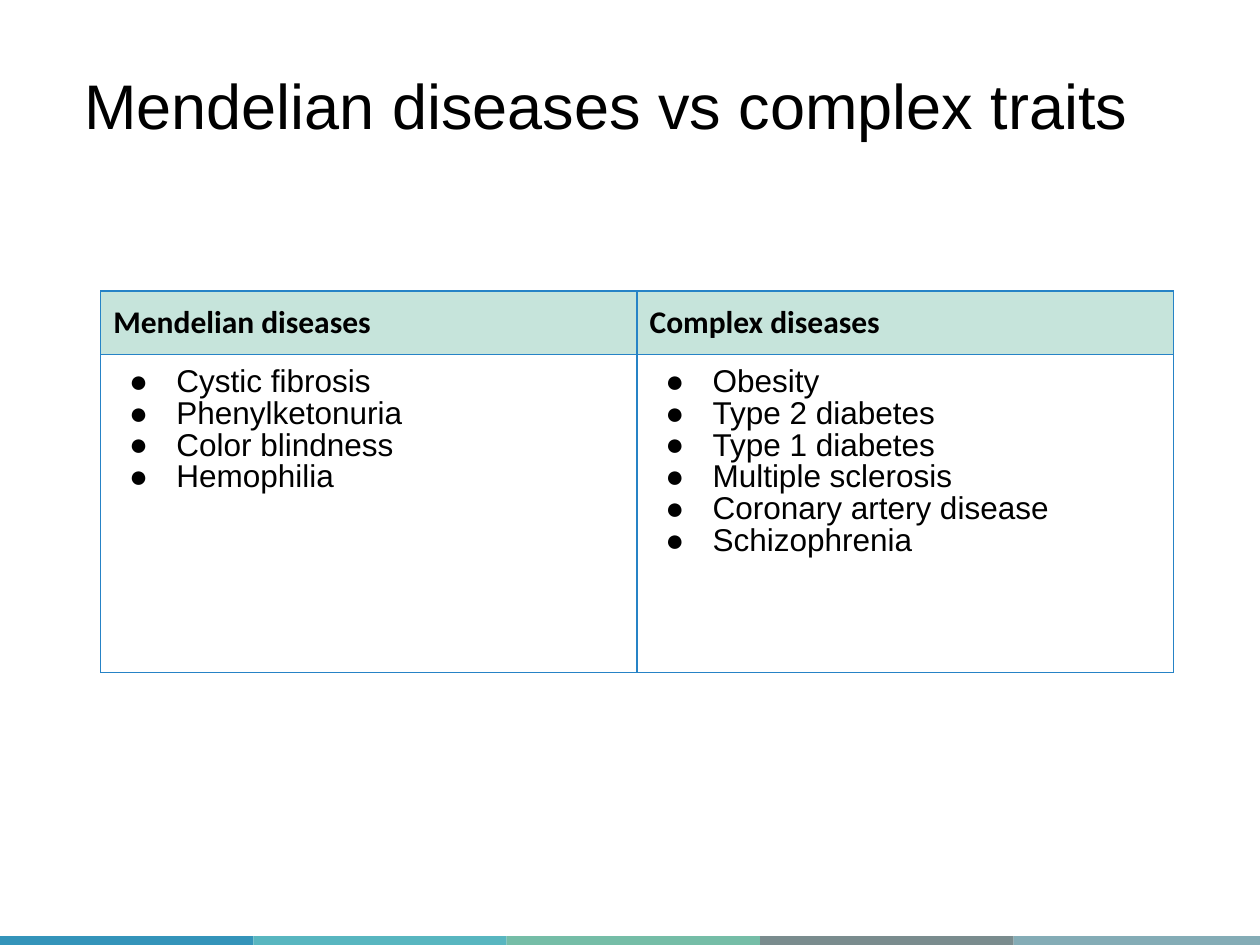
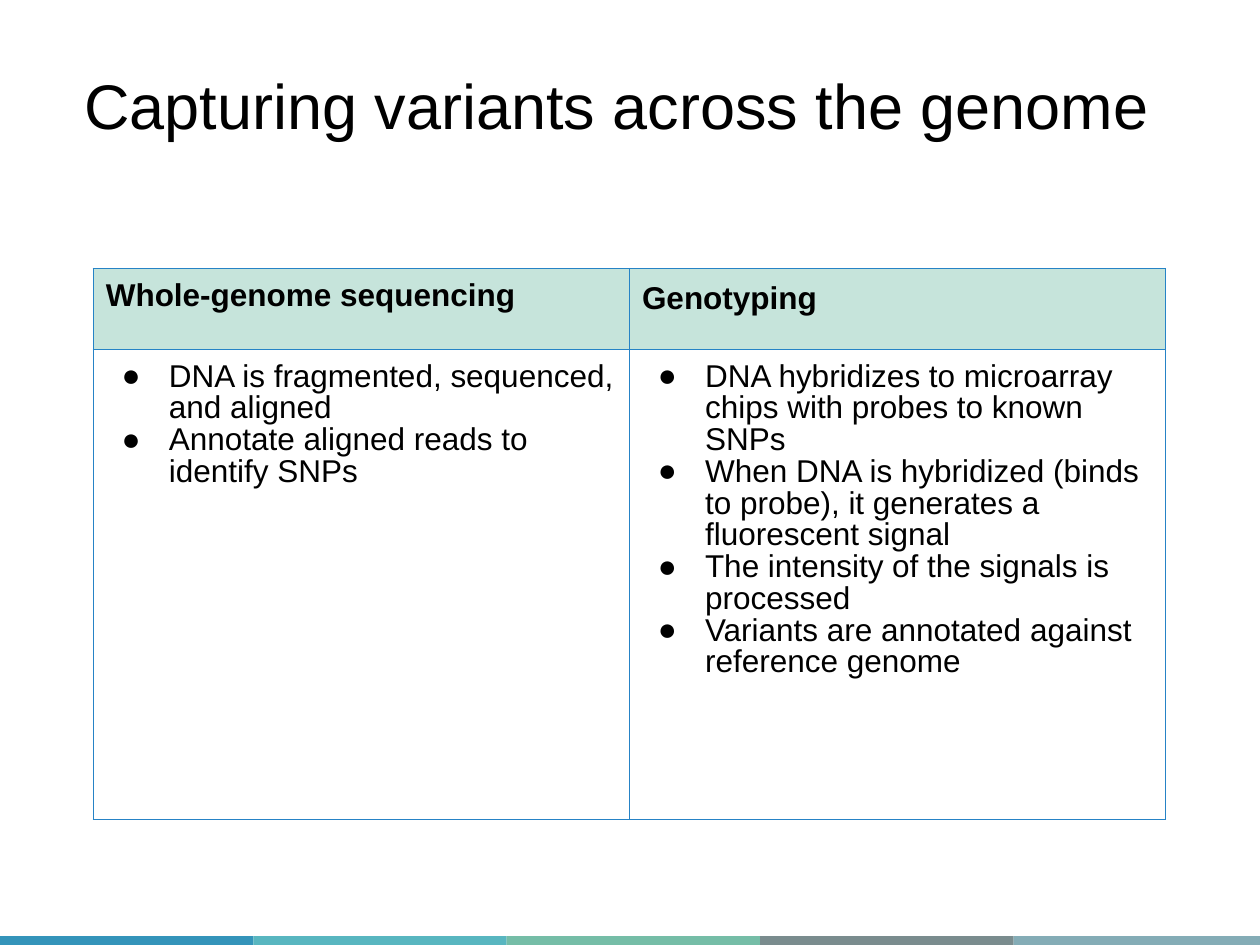
from dataclasses import dataclass

from lxml.etree import SubElement
from pptx import Presentation
from pptx.dml.color import RGBColor
from pptx.enum.shapes import MSO_SHAPE
from pptx.enum.text import MSO_ANCHOR, MSO_AUTO_SIZE, PP_ALIGN
from pptx.oxml.ns import qn
from pptx.util import Pt


@dataclass(frozen=True)
class Theme:
    text: str = "000000"
    header_fill: str = "C6E4DB"
    border: str = "2683C6"
    bands: tuple = ("3494BA", "58B6C0", "75BDA7", "7A8C8E", "84ACB6")
    font: str = "Arial"
    title_size: int = 36
    table_size: int = 18
    line_spacing: float = 0.9


theme = Theme()
COLUMN_WIDTH = Pt(306.4)
CELL_MARGIN = Pt(7.2)
BAND_WIDTH = 144.8

TABLE_SLIDES = [
    {
        "title": "Mendelian diseases vs complex traits",
        "left": 57.6, "top": 166.3, "row_heights": (36, 181.7),
        "header_font": "Calibri",
        "columns": {
            "Mendelian diseases": [
                "Cystic fibrosis", "Phenylketonuria", "Color blindness", "Hemophilia",
            ],
            "Complex diseases": [
                "Obesity", "Type 2 diabetes", "Type 1 diabetes",
                "Multiple sclerosis", "Coronary artery disease", "Schizophrenia",
            ],
        },
    },
    {
        "title": "Capturing variants across the genome",
        "left": 53.3, "top": 153.4, "row_heights": (46.1, 268.6),
        "header_font": theme.font,
        "columns": {
            "Whole-genome sequencing": [
                "DNA is fragmented, sequenced, and aligned",
                "Annotate aligned reads to identify SNPs",
            ],
            "Genotyping": [
                "DNA hybridizes to microarray chips with probes to known SNPs",
                "When DNA is hybridized (binds to probe), it generates a fluorescent signal",
                "The intensity of the signals is processed",
                "Variants are annotated against reference genome",
            ],
        },
    },
]


def add_run(paragraph, text, size, font=theme.font, bold=False):
    run = paragraph.add_run()
    run.text = text
    run.font.name = font
    run.font.size = Pt(size)
    run.font.bold = bold
    run.font.color.rgb = RGBColor.from_string(theme.text)


def add_bullet(paragraph):
    properties = paragraph._p.get_or_add_pPr()
    properties.set("marL", str(Pt(36)))
    properties.set("indent", str(Pt(-27)))
    color = SubElement(properties, qn("a:buClr"))
    SubElement(color, qn("a:srgbClr"), val=theme.text)
    SubElement(properties, qn("a:buFont"), typeface=theme.font)
    SubElement(properties, qn("a:buChar"), char="●")


presentation = Presentation()
presentation.slide_width = Pt(720)
presentation.slide_height = Pt(540)
layout = presentation.slide_layouts[5]

for number, content in enumerate(TABLE_SLIDES):
    slide = presentation.slides.add_slide(layout)

    # The footer bands are drawn once and moved to the shared layout
    if number == 0:
        footer = slide.shapes.add_group_shape()
        for index, color in enumerate(theme.bands):
            band = footer.shapes.add_shape(
                MSO_SHAPE.RECTANGLE, Pt(index * BAND_WIDTH), Pt(535), Pt(BAND_WIDTH), Pt(7.2))
            band.shadow.inherit = False
            band.fill.solid()
            band.fill.fore_color.rgb = RGBColor.from_string(color)
            band.line.fill.background()
        layout.shapes.element.append(footer.element)

    title = slide.shapes.title
    title.left, title.top, title.width, title.height = Pt(41), Pt(18.7), Pt(629.3), Pt(87.8)
    title.text_frame.auto_size = MSO_AUTO_SIZE.NONE
    title.text_frame.vertical_anchor = MSO_ANCHOR.MIDDLE
    paragraph = title.text_frame.paragraphs[0]
    paragraph.alignment = PP_ALIGN.LEFT
    paragraph.line_spacing = theme.line_spacing
    add_run(paragraph, content["title"], theme.title_size)

    table = slide.shapes.add_table(
        2, 2, Pt(content["left"]), Pt(content["top"]),
        2 * COLUMN_WIDTH, Pt(sum(content["row_heights"]))).table
    table.horz_banding = False
    for row, height in zip(table.rows, content["row_heights"]):
        row.height = Pt(height)

    for column, (heading, items) in enumerate(content["columns"].items()):
        table.columns[column].width = COLUMN_WIDTH
        header, body = table.cell(0, column), table.cell(1, column)

        for cell in (header, body):
            cell.margin_left = cell.margin_right = CELL_MARGIN
            cell.margin_top = cell.margin_bottom = CELL_MARGIN
            for side in ("a:lnL", "a:lnR", "a:lnT", "a:lnB"):
                line = SubElement(cell._tc.get_or_add_tcPr(), qn(side), w=str(Pt(0.75)))
                fill = SubElement(line, qn("a:solidFill"))
                SubElement(fill, qn("a:srgbClr"), val=theme.border)

        header.fill.solid()
        header.fill.fore_color.rgb = RGBColor.from_string(theme.header_fill)
        body.fill.background()

        paragraph = header.text_frame.paragraphs[0]
        if heading == "Whole-genome sequencing":
            paragraph.line_spacing = theme.line_spacing
            paragraph.space_before = paragraph.space_after = Pt(10)
        add_run(paragraph, heading, theme.table_size, content["header_font"], bold=True)

        for index, item in enumerate(items):
            frame = body.text_frame
            paragraph = frame.add_paragraph() if index else frame.paragraphs[0]
            paragraph.line_spacing = theme.line_spacing
            add_bullet(paragraph)
            add_run(paragraph, item, theme.table_size)

presentation.save("out.pptx")
